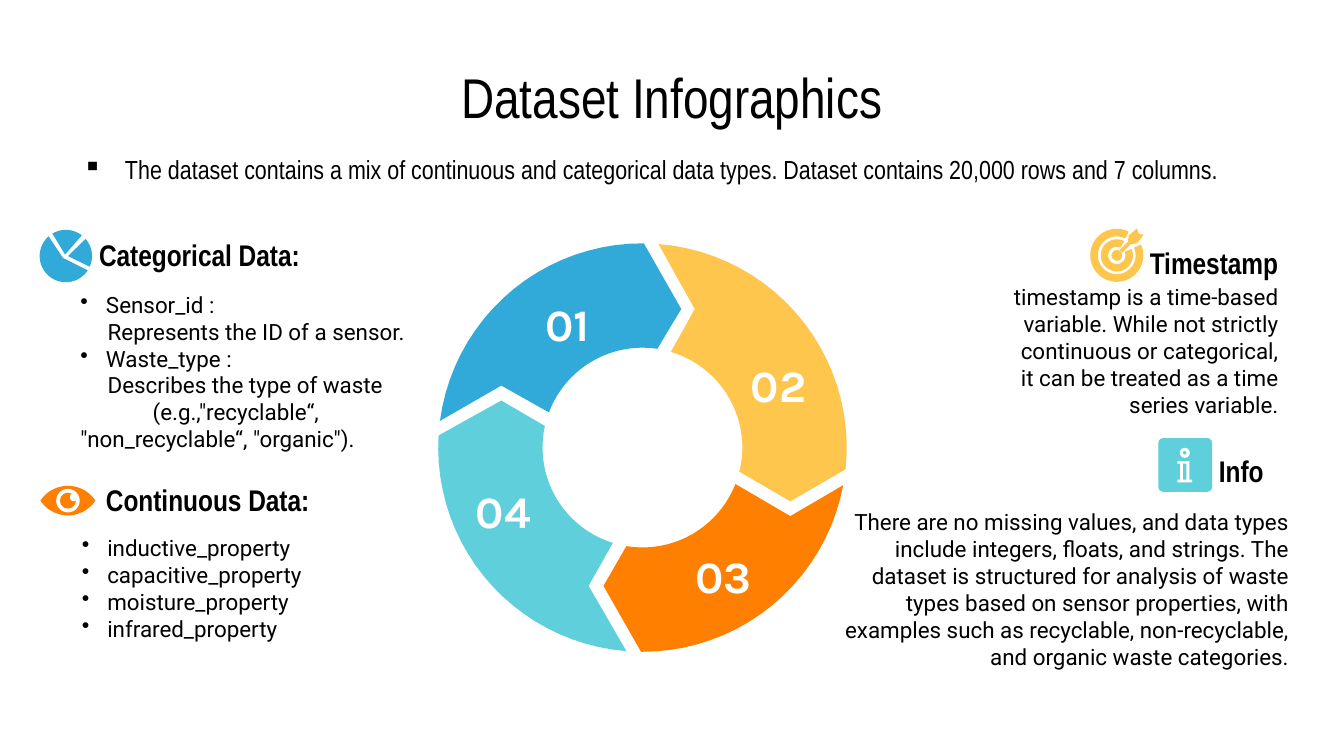
"""Build the dataset infographics slide: a four-part ring with icons and notes."""
import math

import lxml.etree
import pptx
import pptx.dml.color
import pptx.enum.shapes
import pptx.enum.text
import pptx.oxml.ns
import pptx.util

BLUE, YELLOW, ORANGE, TEAL = "32AAD9", "FFC64E", "FF8001", "5FD0DB"
WHITE, BLACK = "FFFFFF", "000000"

RING = {"center": (344.2, 239.8), "outer": 109.4, "inner": 53.5}
SEGMENTS = [
    {"color": YELLOW, "outer": (-85.5, 6.1), "inner": (-73.5, 14),
     "notch": (372.2, 165.6), "tip": (423.4, 268.6)},
    {"color": ORANGE, "outer": (10.6, 90.4), "inner": (21.4, 99.3),
     "notch": (423.4, 276.5), "tip": (323.3, 313.9)},
    {"color": TEAL, "outer": (94.5, 183.4), "inner": (107.2, 192.5),
     "notch": (315.4, 313.9), "tip": (268.6, 214.6)},
    {"color": BLUE, "outer": (187.5, 270.4), "inner": (200.6, 278.6),
     "notch": (268.6, 206.6), "tip": (365, 165.6)},
]
NUMBERS = [("01", 280, 162), ("02", 393.1, 195.1), ("03", 363.6, 297.4), ("04", 245.5, 262.1)]
HEADINGS = [
    ("Categorical Data:", 13.7, 125.3, "right"),
    ("Continuous Data:", 49.7, 256.3, "left"),
    ("Timestamp", 537.8, 129.6, "right"),
    ("Info", 529.9, 241.2, "right"),
]
HANGING = (13.7, -13.7, "•")
NOTES = [
    ((36, 160.6, 203, 77), "left", [
        ("Sensor_id :", HANGING),
        ("Represents the ID of a sensor.", (14.6, 0, None)),
        ("Waste_type :", HANGING),
        ("Describes the type of waste", (14.6, 0, None)),
        ("(e.g.,\"recyclable“,", (38.7, 0, None)),
        ("\"non_recyclable“, \"organic\").", (0, 0, None)),
    ]),
    ((36.7, 292.3, 164.9, 45.4), "left", [
        (name + "_property", HANGING)
        for name in ("inductive", "capacitive", "moisture", "infrared")
    ]),
    ((535, 151.9, 157, 72), "right", [
        ("timestamp is a time-based variable. While not strictly continuous or categorical, "
         "it can be treated as a time series variable.", (0, 0, None)),
    ]),
    ((436.3, 293, 261.4, 45.4), "right", [
        ("There are no missing values, and data types include integers, floats, and strings. "
         "The dataset is structured for analysis of waste types based on sensor properties, "
         "with examples such as recyclable, non-recyclable, and organic waste categories.",
         (0, 0, None)),
    ]),
]
SUMMARY = ("The dataset contains a mix of continuous and categorical data types. "
           "Dataset contains 20,000 rows and 7 columns.")

PIE_CENTER, PIE_RADIUS = (35.3, 137.2), 14
PIE_SLICES = [((33.8, 138.2), 33, 229), ((34.9, 136.4), 239, 307.7), ((36.4, 137.2), -41, 24)]
TARGET_CENTER = (598.3, 136.8)
TARGET_BANDS = [(14.2, 10.1), (8.6, 4.6)]
DART = [(599.8, 133.9), (604.1, 129.6), (604.8, 126), (609.1, 122.4), (610, 125.2),
        (612.7, 125.8), (609.1, 130.3), (605.5, 131), (601.2, 135.4)]
EYE_CENTER, LID_RADIUS, LID_ANGLE, LID_OFFSET = (36.4, 268.2), 17.7, 56.4, 9.8
INFO_STEM = [(630.7, 247), (637.2, 247), (637.2, 257), (638.6, 257), (638.6, 258.5),
             (630.7, 258.5), (630.7, 257), (632.2, 257), (632.2, 248.4), (630.7, 248.4)]

ALIGNMENTS = {
    "left": pptx.enum.text.PP_ALIGN.LEFT,
    "center": pptx.enum.text.PP_ALIGN.CENTER,
    "right": pptx.enum.text.PP_ALIGN.RIGHT,
}
PRESETS = pptx.enum.shapes.MSO_SHAPE


def rgb(color):
    return pptx.dml.color.RGBColor.from_string(color)


def points(values):
    return [pptx.util.Pt(value) for value in values]


def arc(center, radius, start, end):
    steps = max(2, math.ceil(abs(end - start) / 4))
    angles = [math.radians(start + (end - start) * step / steps) for step in range(steps + 1)]
    return [(center[0] + radius * math.cos(angle), center[1] + radius * math.sin(angle))
            for angle in angles]


def paint(shape, color):
    shape.shadow.inherit = False
    shape.fill.solid()
    shape.fill.fore_color.rgb = rgb(color)
    shape.line.fill.background()


def add_outline(slide, corners, color):
    corners = [points(corner) for corner in corners]
    builder = slide.shapes.build_freeform(*corners[0], scale=1.0)
    builder.add_line_segments(corners[1:], close=True)
    paint(builder.convert_to_shape(), color)


def add_preset(slide, preset, frame, color):
    shape = slide.shapes.add_shape(preset, *points(frame))
    paint(shape, color)
    return shape


def add_disc(slide, center, radius, color):
    frame = (center[0] - radius, center[1] - radius, 2 * radius, 2 * radius)
    add_preset(slide, PRESETS.OVAL, frame, color)


def set_indent(para, left, first, bullet):
    properties = para._p.get_or_add_pPr()
    properties.set("marL", str(pptx.util.Pt(left)))
    properties.set("indent", str(pptx.util.Pt(first)))
    if bullet:
        qn = pptx.oxml.ns.qn
        tint = lxml.etree.SubElement(properties, qn("a:buClr"))
        lxml.etree.SubElement(tint, qn("a:srgbClr")).set("val", BLACK)
        lxml.etree.SubElement(properties, qn("a:buChar")).set("char", bullet)


def add_text(slide, frame, lines, font, size, align="left", color=BLACK, bold=False, inset=7.2):
    box = slide.shapes.add_textbox(*points(frame))
    text = box.text_frame
    text.word_wrap = True
    text.vertical_anchor = pptx.enum.text.MSO_ANCHOR.MIDDLE
    text.margin_left = text.margin_right = pptx.util.Pt(7.2)
    text.margin_top = text.margin_bottom = pptx.util.Pt(inset)
    for index, (line, indent) in enumerate(lines):
        para = text.add_paragraph() if index else text.paragraphs[0]
        para.alignment = ALIGNMENTS[align]
        set_indent(para, *indent)
        span = para.add_run()
        span.text = line
        span.font.name, span.font.size, span.font.bold = font, pptx.util.Pt(size), bold
        span.font.color.rgb = rgb(color)


def add_ring(slide):
    center = RING["center"]
    for segment in SEGMENTS:
        outer = arc(center, RING["outer"], *segment["outer"])
        inner = arc(center, RING["inner"], *reversed(segment["inner"]))
        corners = outer + [segment["tip"]] + inner + [segment["notch"]]
        add_outline(slide, corners, segment["color"])


def add_icons(slide):
    for apex, start, end in PIE_SLICES:
        add_outline(slide, [apex] + arc(PIE_CENTER, PIE_RADIUS, start, end), BLUE)

    for outer, inner in TARGET_BANDS:
        band = arc(TARGET_CENTER, outer, -24, 297) + arc(TARGET_CENTER, inner, 297, -24)
        add_outline(slide, band, YELLOW)
    add_disc(slide, TARGET_CENTER, 2.9, YELLOW)
    add_outline(slide, DART, YELLOW)

    x, y = EYE_CENTER
    upper = arc((x, y + LID_OFFSET), LID_RADIUS, 270 - LID_ANGLE, 270 + LID_ANGLE)
    lower = arc((x, y - LID_OFFSET), LID_RADIUS, 90 - LID_ANGLE, 90 + LID_ANGLE)
    add_outline(slide, upper + lower, ORANGE)
    add_disc(slide, EYE_CENTER, 6.3, WHITE)
    add_disc(slide, EYE_CENTER, 4.3, ORANGE)
    add_disc(slide, (x + 3.2, y - 1.8), 2.2, WHITE)

    tile = add_preset(slide, PRESETS.ROUNDED_RECTANGLE, (620.6, 234.7, 28.8, 28.8), TEAL)
    tile.adjustments[0] = 0.09
    add_disc(slide, (634.7, 242.6), 2.7, WHITE)
    add_disc(slide, (634.7, 242.6), 0.9, TEAL)
    add_outline(slide, INFO_STEM, WHITE)
    add_preset(slide, PRESETS.RECTANGLE, (633.8, 248.4, 1.8, 8.6), TEAL)


def main():
    deck = pptx.Presentation()
    deck.slide_width, deck.slide_height = points((720, 405))
    slide = deck.slides.add_slide(deck.slide_layouts[6])
    plain = (0, 0, None)
    add_text(slide, (36, 32.4, 648, 38.2), [("Dataset Infographics", plain)],
             "Arial Narrow", 30, "center")
    add_text(slide, (37.4, 78.5, 652.3, 24.5), [(SUMMARY, (22.5, -22.5, "▪"))],
             "Arial Narrow", 14, inset=3.6)
    add_ring(slide)
    add_icons(slide)
    for heading, left, top, align in HEADINGS:
        add_text(slide, (left, top, 154.1, 22.3), [(heading, plain)],
                 "Arial Narrow", 16, align, bold=True)
    for frame, align, lines in NOTES:
        add_text(slide, frame, lines, "Roboto", 12, align)
    for number, left, top in NUMBERS:
        add_text(slide, (left, top, 48.2, 22.3), [(number, plain)],
                 "Karla", 24, "center", WHITE, True)
    deck.save("out.pptx")


if __name__ == "__main__":
    main()
